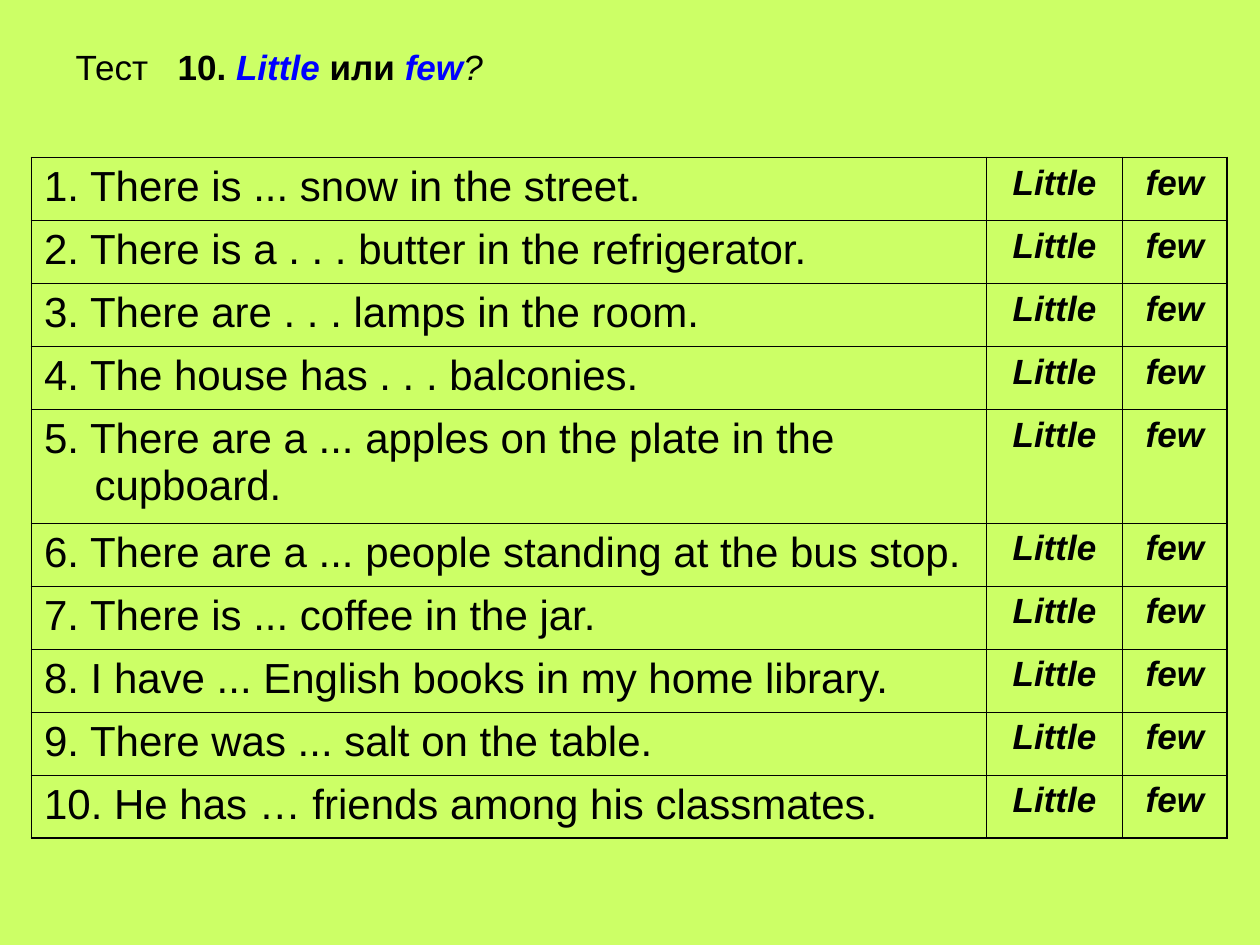
from lxml.etree import SubElement
from pptx import Presentation
from pptx.dml.color import RGBColor
from pptx.enum.text import MSO_ANCHOR, PP_ALIGN
from pptx.oxml.ns import qn
from pptx.util import Inches, Pt

# Content
HEAD = [
    ("Тест\t", "plain"), ("10. ", "bold"), ("Little ", "word"),
    ("или ", "bold"), ("few", "word"), ("?", "mark"),
]
ITEMS = [
    "There is ... snow in the street.",
    "There is a . . . butter in the refrigerator.",
    "There are . . . lamps in the room.",
    "The house has . . . balconies.",
    "There are a ... apples on the plate in the cupboard.",
    "There are a ... people standing at the bus stop.",
    "There is ... coffee in the jar.",
    "I have ... English books in my home library.",
    "There was ... salt on the table.",
    "He has … friends among his classmates.",
]
WORDS = ["Little", "few"]
LONG = 4  # the item that takes two lines

# Formats
HEX = {"back": "CCFF66", "ink": "000000", "word": "0000FF"}
BASE = {"name": "Arial", "size": Pt(20), "bold": False, "italic": False}
LOOK = {
    "plain": BASE,
    "bold": {**BASE, "bold": True},
    "word": {**BASE, "bold": True, "italic": True},
    "mark": {**BASE, "italic": True},
    "item": {**BASE, "size": Pt(24)},
}
COLS = [7.58, 1.08, 0.83]
ROW, TALL = 0.5, 0.9
THIN, THICK = 0.45, 1.08


def write(para, text, look, tint="ink"):
    run = para.add_run()
    run.text = text
    for key, value in LOOK[look].items():
        setattr(run.font, key, value)
    run.font.color.rgb = RGBColor.from_string(HEX[tint])


def border(cell, row, col, rows, cols):
    outer = {"lnL": col == 0, "lnR": col == cols - 1,
             "lnT": row == 0, "lnB": row == rows - 1}
    props = cell._tc.get_or_add_tcPr()
    for tag, edge in outer.items():
        line = SubElement(props, qn(f"a:{tag}"), w=str(Pt(THICK if edge else THIN)))
        fill = SubElement(line, qn("a:solidFill"))
        SubElement(fill, qn("a:srgbClr"), val=HEX["ink"])
    cell.fill.background()


deck = Presentation()
deck.slide_width, deck.slide_height = Inches(10), Inches(7.5)
slide = deck.slides.add_slide(deck.slide_layouts[5])
slide.background.fill.solid()
slide.background.fill.fore_color.rgb = RGBColor.from_string(HEX["back"])

# Title
title = slide.shapes.title
title.left, title.top = Inches(0.5), Inches(0.3)
title.width, title.height = Inches(4), Inches(0.45)
title.text_frame.vertical_anchor = MSO_ANCHOR.MIDDLE
para = title.text_frame.paragraphs[0]
para.alignment = PP_ALIGN.LEFT
tabs = SubElement(para._p.get_or_add_pPr(), qn("a:tabLst"))
SubElement(tabs, qn("a:tab"), pos=str(Inches(0.81)), algn="l")
for text, look in HEAD:
    write(para, text, look, "word" if look == "word" else "ink")

# Table of items and answers
highs = [TALL if i == LONG else ROW for i in range(len(ITEMS))]
table = slide.shapes.add_table(
    len(ITEMS), len(COLS), Inches(0.25), Inches(1.25),
    Inches(sum(COLS)), Inches(sum(highs))).table
table.first_row = table.horz_banding = False
for col, wide in zip(table.columns, COLS):
    col.width = Inches(wide)
for row, high in zip(table.rows, highs):
    row.height = Inches(high)

for r, item in enumerate(ITEMS):
    for c, text in enumerate([f"{r + 1}. {item}", *WORDS]):
        cell = table.cell(r, c)
        border(cell, r, c, len(ITEMS), len(COLS))
        para = cell.text_frame.paragraphs[0]
        para.alignment = PP_ALIGN.CENTER if c else PP_ALIGN.LEFT
        if r == LONG and c == 0:  # hanging indent
            props = para._p.get_or_add_pPr()
            props.set("marL", str(Inches(0.4)))
            props.set("indent", str(Inches(-0.4)))
        write(para, text, "word" if c else "item")

deck.save("out.pptx")
